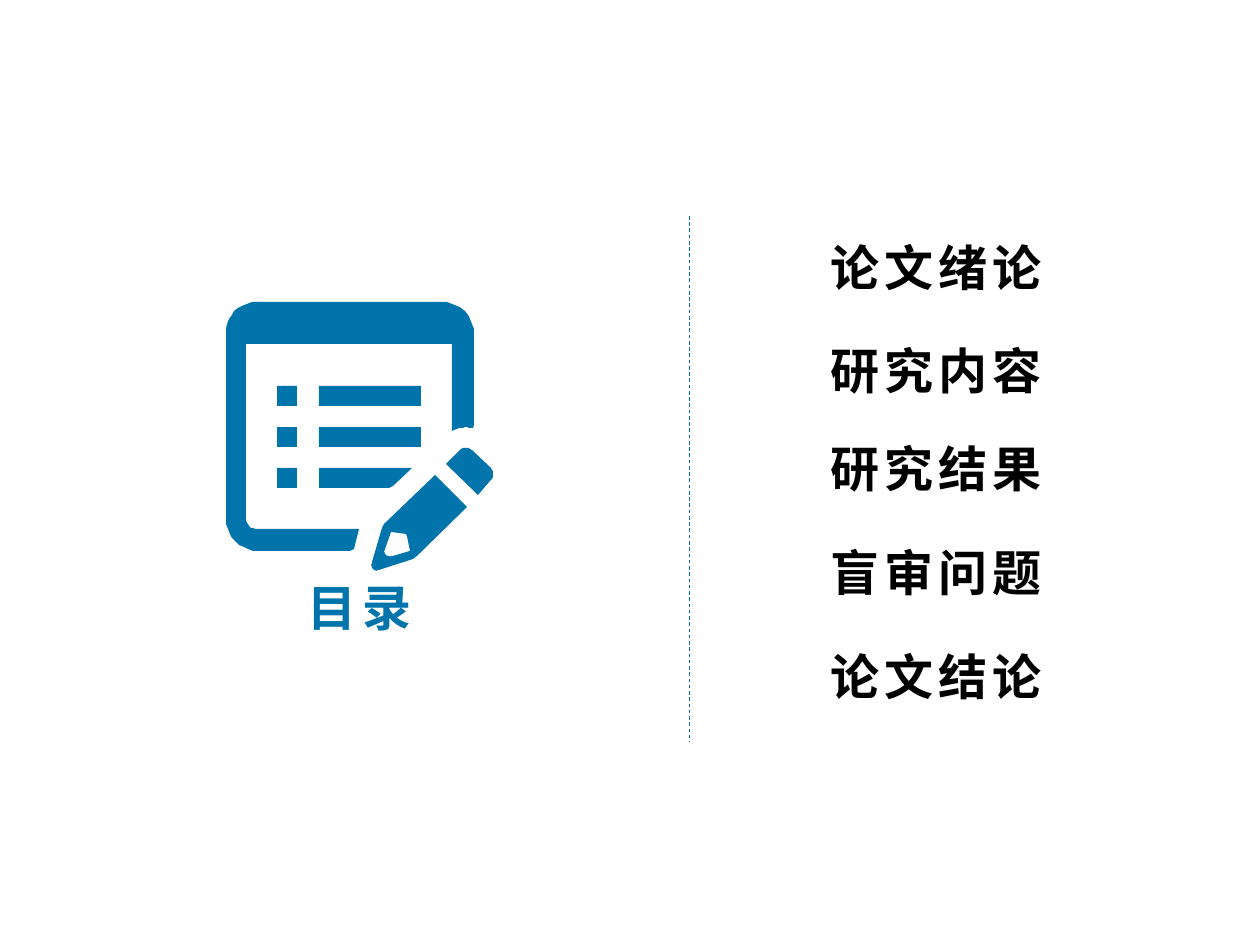
from lxml import etree
from pptx import Presentation
from pptx.dml.color import RGBColor
from pptx.enum.dml import MSO_LINE
from pptx.enum.shapes import MSO_CONNECTOR, MSO_SHAPE
from pptx.enum.text import MSO_AUTO_SIZE, PP_ALIGN
from pptx.oxml.ns import qn
from pptx.util import Pt

PX = 914400 / 126
FONT = "Noto Sans CJK SC"
BLUE, BLACK = "0174AB", "000000"
RECT, STRAIGHT = MSO_SHAPE.RECTANGLE, MSO_CONNECTOR.STRAIGHT
DASH, CENTER, LEFT = MSO_LINE.DASH, PP_ALIGN.CENTER, PP_ALIGN.LEFT
GROW = MSO_AUTO_SIZE.SHAPE_TO_FIT_TEXT
STEPS = 10


def flatten(segments):
    """Turn points (x, y) and Bezier curves (x1, y1, x2, y2, x, y) into points."""
    points = []
    for seg in segments:
        if len(seg) == 2:
            points.append(seg)
            continue
        x0, y0 = points[-1]
        x1, y1, x2, y2, x3, y3 = seg
        for i in range(1, STEPS + 1):
            t = i / STEPS
            a, b, c, d = (1 - t) ** 3, 3 * t * (1 - t) ** 2, 3 * t * t * (1 - t), t ** 3
            points.append((a * x0 + b * x1 + c * x2 + d * x3,
                           a * y0 + b * y1 + c * y2 + d * y3))
    return points


def add_label(text, x, y, w, color, align):
    tb = slide.shapes.add_textbox(*(round(v * PX) for v in (x, y, w, 72)))
    tf = tb.text_frame
    tf.word_wrap = True
    tf.auto_size = GROW
    p = tf.paragraphs[0]
    p.text = text
    p.alignment = align
    r = p.runs[0]
    r.font.size = Pt(28)
    r.font.bold = True
    r.font.name = FONT
    r.font.color.rgb = RGBColor.from_string(color)
    rPr = r.font._element
    rPr.set("spc", "300")
    etree.SubElement(rPr, qn("a:ea"), typeface=FONT)


prs = Presentation()
prs.slide_width, prs.slide_height = round(1260 * PX), round(945 * PX)
slide = prs.slides.add_slide(prs.slide_layouts[6])

# Divider
divider = slide.shapes.add_connector(
    STRAIGHT, *(round(v * PX) for v in (689, 216, 689, 742)))
divider.line.color.rgb = RGBColor.from_string(BLUE)
divider.line.width = Pt(0.5)
divider.line.dash_style = DASH
etree.SubElement(divider._element.spPr, qn("a:effectLst"))

# Notepad and pencil icon: each outline is a list of contours
page = [[(359, 529), (354, 549), (350, 551), (258, 551),
         (241, 551, 226, 537, 226, 519), (226, 335),
         (226, 316, 238, 302, 258, 302), (441, 302),
         (460, 302, 474, 316, 474, 335), (474, 425), (473, 428),
         (466, 427, 460, 427, 452, 431), (452, 344), (246, 344), (246, 517),
         (246, 524, 249, 529, 258, 529)]]
pencil = [[(435, 475), (467, 507), (417, 556), (413, 559), (379, 570),
           (374, 572, 370, 568, 372, 562), (382, 528), (384, 524)],
          [(391, 532), (384, 552), (386, 557, 389, 557, 393, 556),
           (410, 551), (407, 536), (406, 534)]]
eraser = [[(446, 464), (459, 451), (462, 447, 469, 447, 473, 451), (490, 467),
           (494, 471, 494, 478, 490, 481), (478, 495)]]
cut_bar = [[(319, 468), (412, 468), (393, 486), (389, 488), (319, 488)]]

icon = slide.shapes.add_group_shape()
parts = []
for outline in (page, pencil, eraser, cut_bar):
    contours = [flatten(c) for c in outline]
    fb = icon.shapes.build_freeform(*contours[0][0], scale=PX)
    fb.add_line_segments(contours[0][1:], close=True)
    for contour in contours[1:]:
        fb.move_to(*contour[0])
        fb.add_line_segments(contour[1:], close=True)
    parts.append(fb.convert_to_shape())

bullets = [(277, 386 + 41 * i, 20) for i in range(3)]
bars = [(319, 386 + 41 * i, 102) for i in range(2)]
for x, y, w in bullets + bars:
    parts.append(icon.shapes.add_shape(RECT, *(round(v * PX) for v in (x, y, w, 20))))

for sp in parts:
    sp.shadow.inherit = False
    sp.fill.solid()
    sp.fill.fore_color.rgb = RGBColor.from_string(BLUE)
    sp.line.fill.background()

# Title and contents
add_label("目录", 176, 571, 367, BLUE, CENTER)
for text, y in (("论文绪论", 231), ("研究内容", 334), ("研究结果", 432),
                ("盲审问题", 536), ("论文结论", 640)):
    add_label(text, 818, y, 265, BLACK, LEFT)

prs.save("out.pptx")
